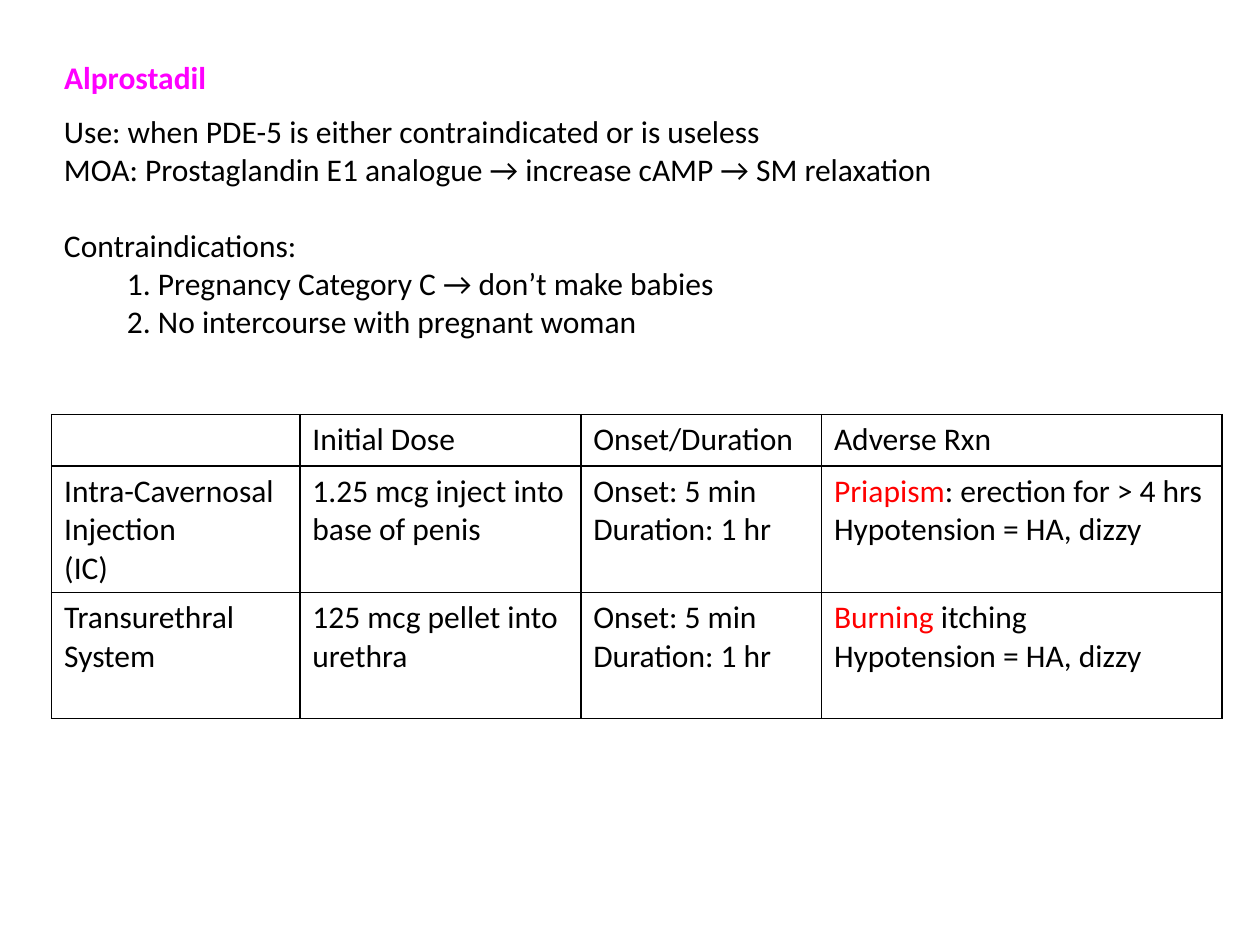
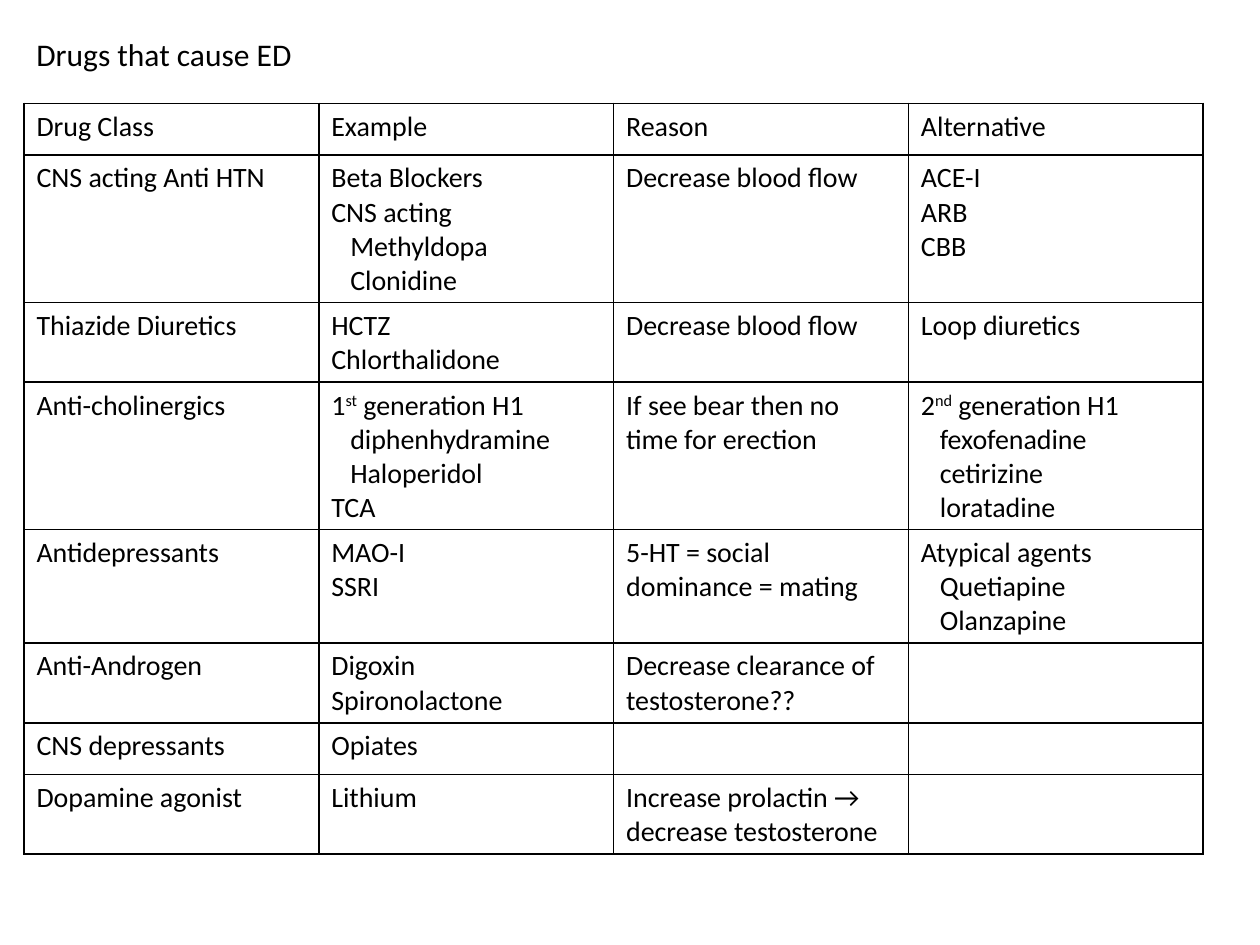
from lxml import etree
from pptx import Presentation
from pptx.dml.color import RGBColor
from pptx.enum.text import MSO_AUTO_SIZE as AutoSize
from pptx.oxml.ns import qn
from pptx.util import Inches, Pt

BLACK, RED, MAGENTA = "000000", "FF0000", "FF00FF"
FONT = "Calibri"
BODY_SIZE, SMALL_SIZE = 18, 16
BLANK_LINE = 22


def rgb(value):
    return RGBColor.from_string(value)


class Deck:
    def __init__(self, prs):
        self.prs = prs
        self.s = None

    def new_slide(self):
        self.s = self.prs.slides.add_slide(self.prs.slide_layouts[6])

    def run(self, p, text, size, color=BLACK, bold=False, baseline=0):
        r = p.add_run()
        r.text = text
        for name, value in {"name": FONT, "size": Pt(size), "bold": bold}.items():
            setattr(r.font, name, value)
        r.font.color.rgb = rgb(color)
        if baseline:
            r._r.get_or_add_rPr().set("baseline", str(baseline * 1000))

    def paragraphs(self, tf, lines, size, indent):
        """Add one paragraph per line; a line is a string or a list of
        (text, format) runs, and a leading tab indents it."""
        for i, line in enumerate(lines):
            p = tf.paragraphs[0] if i == 0 else tf.add_paragraph()
            runs = [(line, {})] if isinstance(line, str) else line
            if runs[0][0].startswith("\t"):
                p._p.get_or_add_pPr().set("marL", str(Inches(indent)))
            for text, style in runs:
                self.run(p, text.lstrip("\t"), size, **style)

    def text(self, x, y, w, h, lines, size=BODY_SIZE):
        box = self.s.shapes.add_textbox(*map(Inches, (x, y, w, h)))
        tf = box.text_frame
        tf.word_wrap = False
        tf.auto_size = AutoSize.SHAPE_TO_FIT_TEXT
        self.paragraphs(tf, lines, size, indent=0.5)
        return tf

    def borders(self, cell):
        tcPr = cell._tc.get_or_add_tcPr()
        for side in "LRTB":
            ln = etree.SubElement(tcPr, qn(f"a:ln{side}"), w=str(Pt(1)))
            fill = etree.SubElement(ln, qn("a:solidFill"))
            etree.SubElement(fill, qn("a:srgbClr"), val=BLACK)

    def table(self, x, y, widths, heights, rows, size):
        frame = self.s.shapes.add_table(
            len(rows), len(widths), Inches(x), Inches(y),
            Inches(sum(widths)), Inches(sum(heights)))
        table = frame.table
        table.first_row = table.horz_banding = False
        for column, width in zip(table.columns, widths):
            column.width = Inches(width)
        for row, height, cells in zip(table.rows, heights, rows):
            row.height = Inches(height)
            for cell, lines in zip(row.cells, cells):
                self.borders(cell)
                cell.fill.background()
                if isinstance(lines, str):
                    lines = lines.split("\n") if lines else []
                self.paragraphs(cell.text_frame, lines, size, indent=0.15)


def ordinal(number, suffix, rest):
    return [(number, {}), (suffix, {"baseline": 30}), (rest, {})]


def warning(word, rest):
    return [(word, {"color": RED}), (rest, {})]


def alprostadil(deck):
    deck.new_slide()
    title = [[("Alprostadil", {"color": MAGENTA, "bold": True})]]
    deck.text(0.41, 0.41, 1.35, 0.4, title)
    tf = deck.text(0.41, 0.84, 7.23, 1.92, [
        "Use: when PDE-5 is either contraindicated or is useless",
        "MOA: Prostaglandin E1 analogue → increase cAMP → SM relaxation",
        "Contraindications:",
        "\t1. Pregnancy Category C → don’t make babies",
        "\t2. No intercourse with pregnant woman",
    ])
    tf.paragraphs[2].space_before = Pt(BLANK_LINE)

    timing = "Onset: 5 min\nDuration: 1 hr"
    hypotension = "Hypotension = HA, dizzy"
    rows = [
        ["", "Initial Dose", "Onset/Duration", "Adverse Rxn"],
        ["Intra-Cavernosal Injection\n(IC)",
         "1.25 mcg inject into base of penis", timing,
         [warning("Priapism", ": erection for > 4 hrs"), hypotension]],
        ["Transurethral System", "125 mcg pellet into urethra", timing,
         [warning("Burning", " itching"), hypotension]],
    ]
    deck.table(0.41, 3.29, [1.97, 2.23, 1.91, 3.18], [0.41, 1, 1],
               rows, BODY_SIZE)


def drugs_that_cause_ed(deck):
    deck.new_slide()
    deck.text(0.19, 0.23, 2.25, 0.4, ["Drugs that cause ED"])
    rows = [
        ["Drug Class", "Example", "Reason", "Alternative"],
        ["CNS acting Anti HTN",
         "Beta Blockers\nCNS acting\n\tMethyldopa\n\tClonidine",
         "Decrease blood flow", "ACE-I\nARB\nCBB"],
        ["Thiazide Diuretics", "HCTZ\nChlorthalidone",
         "Decrease blood flow", "Loop diuretics"],
        ["Anti-cholinergics",
         [ordinal("1", "st", " generation H1"),
          "\tdiphenhydramine", "\tHaloperidol", "TCA"],
         "If see bear then no time for erection",
         [ordinal("2", "nd", " generation H1"),
          "\tfexofenadine", "\tcetirizine", "\tloratadine"]],
        ["Antidepressants", "MAO-I\nSSRI",
         "5-HT = social dominance = mating",
         "Atypical agents\n\tQuetiapine\n\tOlanzapine"],
        ["Anti-Androgen", "Digoxin\nSpironolactone",
         "Decrease clearance of testosterone??", ""],
        ["CNS depressants", "Opiates", "", ""],
        ["Dopamine agonist", "Lithium",
         "Increase prolactin → decrease testosterone", ""],
    ]
    one, two, three, four = 0.41, 0.63, 0.9, 1.17
    heights = [one, four, two, four, three, two, one, two]
    deck.table(0.19, 0.82, [2.34] * 4, heights, rows, SMALL_SIZE)


def main():
    prs = Presentation()
    prs.slide_width, prs.slide_height = Inches(10), Inches(7.5)
    deck = Deck(prs)
    alprostadil(deck)
    drugs_that_cause_ed(deck)
    prs.save("out.pptx")


if __name__ == "__main__":
    main()
